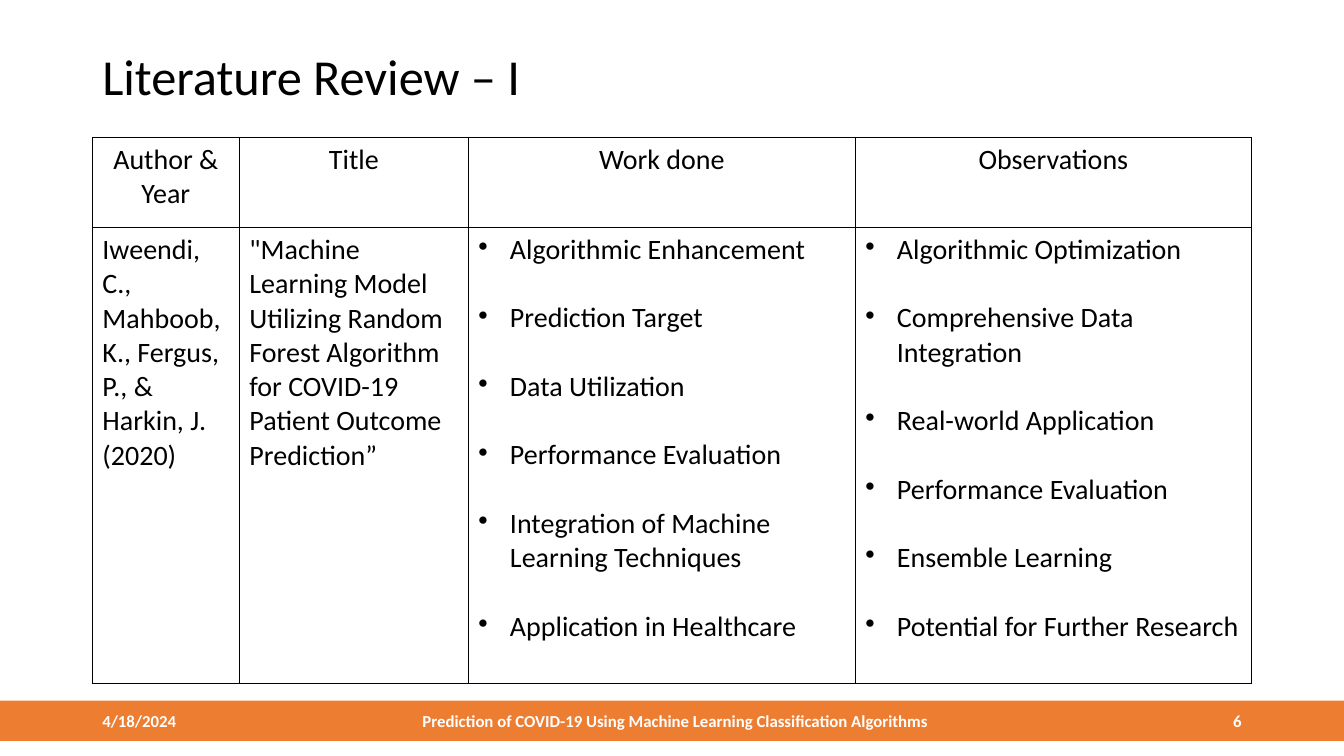
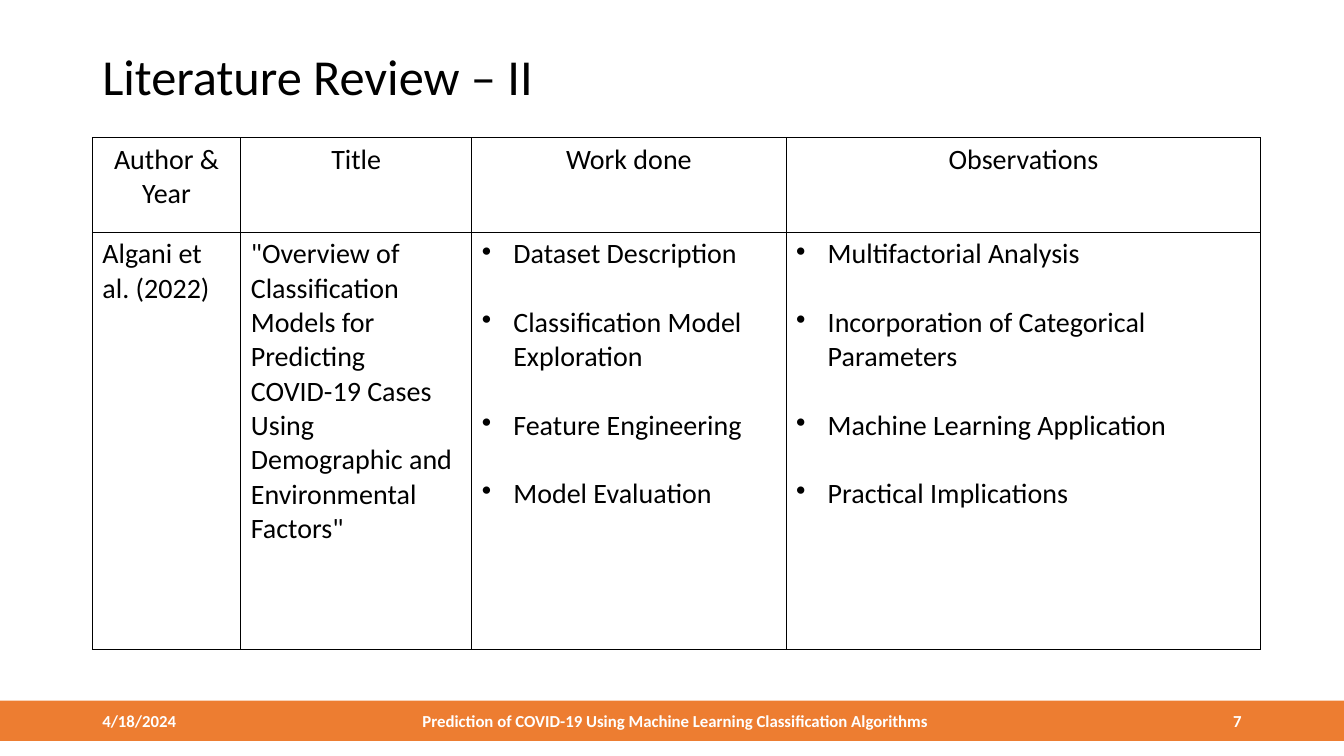
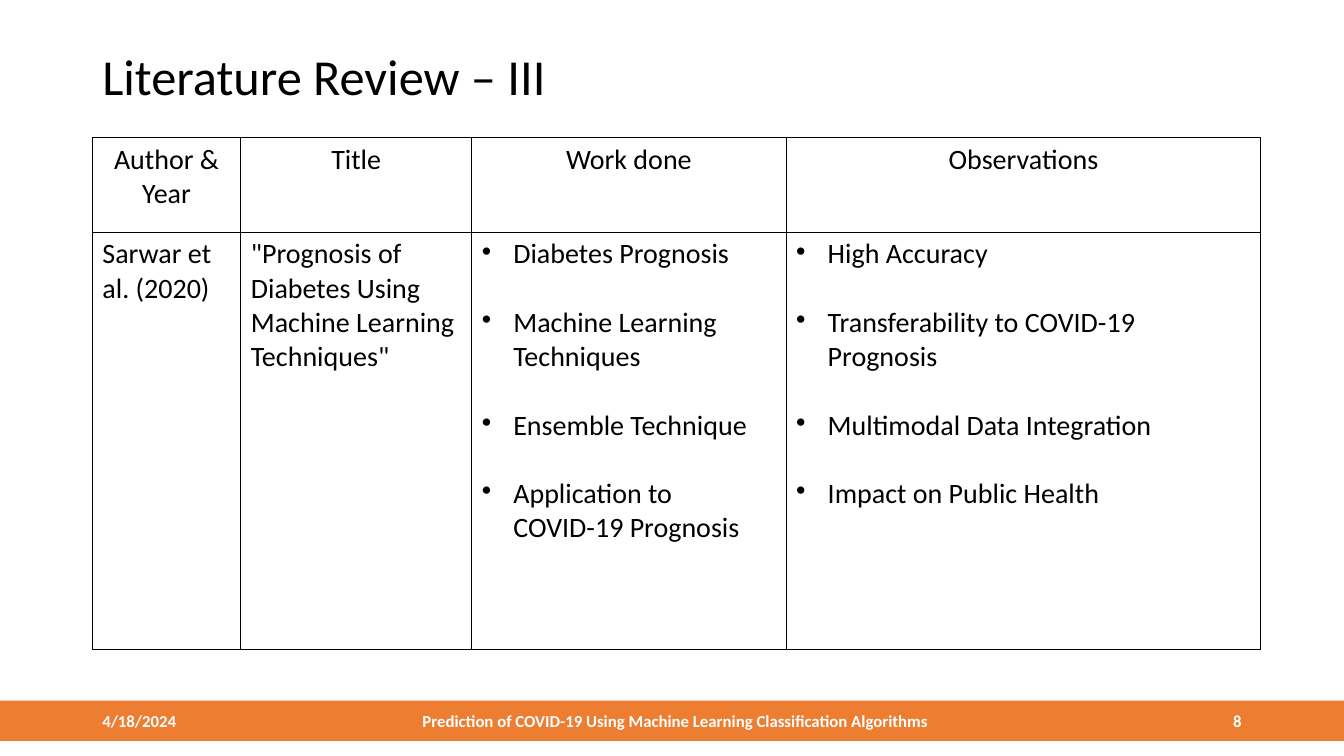
from dataclasses import dataclass

from lxml import etree
from pptx import Presentation
from pptx.dml.color import RGBColor
from pptx.enum import shapes, text
from pptx.oxml import ns
from pptx.util import Pt


@dataclass(frozen=True)
class Theme:
    font: str = "Calibri"
    ink: RGBColor = RGBColor(0x00, 0x00, 0x00)
    band: RGBColor = RGBColor(0xED, 0x7D, 0x31)
    band_ink: RGBColor = RGBColor(0xFF, 0xFF, 0xFF)
    title_size: int = 36
    table_size: int = 20
    footer_size: int = 12
    border: int = 1
    bullet_indent: float = 22.5
    bullet_gap: float = 24.4


THEME = Theme()
ALIGN = text.PP_ALIGN
SLIDE_WIDTH, SLIDE_HEIGHT = 960, 540
LEFT, CONTENT_WIDTH = 66, 828
BAND_TOP, BAND_HEIGHT = 500.4, 28.8
TABLE_TOP = 98.4
FIRST_PAGE = 6
DATE = "4/18/2024"
FOOTER = "Prediction of COVID-19 Using Machine Learning Classification Algorithms"
HEADINGS = ["Author & Year", "Title", "Work done", "Observations"]

WIDE_GRID = ([105, 163.6, 276.4, 283], [64.3, 325.7])
NARROW_GRID = ([106, 165, 224.6, 339], [67.5, 298.2])

# Each review: title, (column widths, row heights), body cells; lists are bulleted
REVIEWS = [
    ("Literature Review – I", WIDE_GRID, [
        ["Iweendi, C., Mahboob, K., Fergus, P., & Harkin, J. (2020)"],
        ['"Machine Learning Model Utilizing Random Forest Algorithm '
         "for COVID-19 Patient Outcome Prediction”"],
        ["Algorithmic Enhancement", "Prediction Target", "Data Utilization",
         "Performance Evaluation", "Integration of Machine Learning Techniques",
         "Application in Healthcare"],
        ["Algorithmic Optimization", "Comprehensive Data Integration",
         "Real-world Application", "Performance Evaluation",
         "Ensemble Learning", "Potential for Further Research"],
    ]),
    ("Literature Review – II", NARROW_GRID, [
        ["Algani et al. (2022)"],
        ['"Overview of Classification Models for Predicting COVID-19 Cases '
         'Using Demographic and Environmental Factors"'],
        ["Dataset Description", "Classification Model Exploration",
         "Feature Engineering", "Model Evaluation"],
        ["Multifactorial Analysis", "Incorporation of Categorical Parameters",
         "Machine Learning Application", "Practical Implications"],
    ]),
    ("Literature Review – III", NARROW_GRID, [
        ["Sarwar et al. (2020)"],
        ['"Prognosis of Diabetes Using Machine Learning Techniques"'],
        ["Diabetes Prognosis", "Machine Learning Techniques",
         "Ensemble Technique", "Application to COVID-19 Prognosis"],
        ["High Accuracy", "Transferability to COVID-19 Prognosis",
         "Multimodal Data Integration", "Impact on Public Health"],
    ]),
]


def write(paragraph, words, size, color, align=ALIGN.LEFT, bold=False):
    """Add one styled run to the paragraph."""
    paragraph.alignment = align
    run = paragraph.add_run()
    run.text = words
    run.font.name = THEME.font
    run.font.size = Pt(size)
    run.font.bold = bold
    run.font.color.rgb = color


def add_text_box(slide, left, top, width, height):
    """Add a wrapped, vertically centred box and return its first paragraph."""
    frame = slide.shapes.add_textbox(Pt(left), Pt(top), Pt(width), Pt(height)).text_frame
    frame.word_wrap = True
    frame.vertical_anchor = text.MSO_ANCHOR.MIDDLE
    return frame.paragraphs[0]


presentation = Presentation()
presentation.slide_width = Pt(SLIDE_WIDTH)
presentation.slide_height = Pt(SLIDE_HEIGHT)
blank_layout = presentation.slide_layouts[6]

for page, (title, (widths, heights), body) in enumerate(REVIEWS, FIRST_PAGE):
    slide = presentation.slides.add_slide(blank_layout)

    # Footer band
    band = slide.shapes.add_shape(shapes.MSO_SHAPE.RECTANGLE, 0, Pt(BAND_TOP),
                                  Pt(SLIDE_WIDTH), Pt(BAND_HEIGHT))
    band.shadow.inherit = False
    band.fill.solid()
    band.fill.fore_color.rgb = THEME.band
    band.line.fill.background()
    for words, left, width, align in [
        (DATE, LEFT, 216, ALIGN.LEFT),
        (FOOTER, 255.5, 454, ALIGN.CENTER),
        (str(page), LEFT + CONTENT_WIDTH - 216, 216, ALIGN.RIGHT),
    ]:
        paragraph = add_text_box(slide, left, BAND_TOP, width, BAND_HEIGHT)
        write(paragraph, words, THEME.footer_size, THEME.band_ink, align, bold=True)

    # Title
    paragraph = add_text_box(slide, LEFT, 28.8, CONTENT_WIDTH, 55.4)
    paragraph.line_spacing = 0.9
    write(paragraph, title, THEME.title_size, THEME.ink)

    # Review table
    table = slide.shapes.add_table(len(heights), len(widths), Pt(LEFT), Pt(TABLE_TOP),
                                   Pt(sum(widths)), Pt(sum(heights))).table
    table.first_row = table.horz_banding = False
    for column, width in zip(table.columns, widths):
        column.width = Pt(width)
    for row, height in zip(table.rows, heights):
        row.height = Pt(height)

    for cell, heading in zip(table.rows[0].cells, HEADINGS):
        write(cell.text_frame.paragraphs[0], heading, THEME.table_size,
              THEME.ink, ALIGN.CENTER)

    for cell, entries in zip(table.rows[1].cells, body):
        frame = cell.text_frame
        for index, entry in enumerate(entries):
            paragraph = frame.add_paragraph() if index else frame.paragraphs[0]
            write(paragraph, entry, THEME.table_size, THEME.ink)
            if len(entries) == 1:
                continue
            if index:
                paragraph.space_before = Pt(THEME.bullet_gap)
            properties = paragraph._p.get_or_add_pPr()
            properties.set("marL", str(Pt(THEME.bullet_indent)))
            properties.set("indent", str(-Pt(THEME.bullet_indent)))
            etree.SubElement(properties, ns.qn("a:buChar"), char="•")

    for cell in table.iter_cells():
        cell.fill.background()
        properties = cell._tc.get_or_add_tcPr()
        for position, side in enumerate(["lnL", "lnR", "lnT", "lnB"]):
            line = etree.Element(ns.qn(f"a:{side}"), w=str(Pt(THEME.border)))
            fill = etree.SubElement(line, ns.qn("a:solidFill"))
            etree.SubElement(fill, ns.qn("a:srgbClr"), val=str(THEME.ink))
            properties.insert(position, line)

presentation.save("out.pptx")
